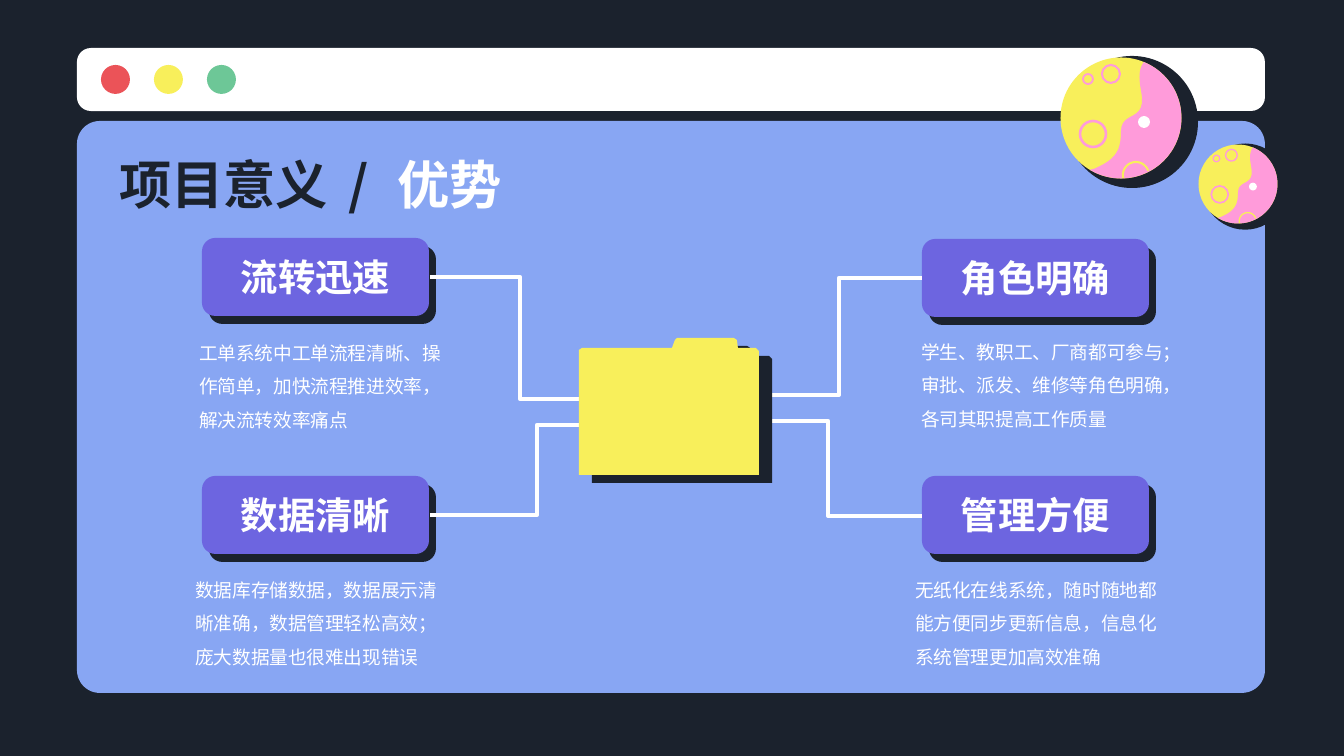
from math import cos, radians, sin

from pptx import Presentation
from pptx.dml.color import RGBColor
from pptx.enum.shapes import MSO_CONNECTOR, MSO_SHAPE
from pptx.enum.text import MSO_ANCHOR, MSO_AUTO_SIZE, PP_ALIGN
from pptx.oxml.ns import qn
from pptx.util import Emu, Pt
from lxml import etree

ELBOW = MSO_CONNECTOR.ELBOW
OVAL = MSO_SHAPE.OVAL
ROUNDED = MSO_SHAPE.ROUNDED_RECTANGLE
MIDDLE = MSO_ANCHOR.MIDDLE
TOP = MSO_ANCHOR.TOP
NO_AUTOFIT = MSO_AUTO_SIZE.NONE
CENTER = PP_ALIGN.CENTER
LEFT = PP_ALIGN.LEFT

NAVY = RGBColor(0x1B, 0x22, 0x2D)
BLUE = RGBColor(0x88, 0xA6, 0xF3)
PURPLE = RGBColor(0x6D, 0x65, 0xE0)
WHITE = RGBColor(0xFF, 0xFF, 0xFF)
RED = RGBColor(0xEB, 0x53, 0x58)
YELLOW = RGBColor(0xF8, 0xEF, 0x5B)
GREEN = RGBColor(0x6D, 0xC7, 0x97)
PINK = RGBColor(0xFF, 0x9B, 0xDA)

FONT = "Noto Sans CJK SC"
SCALE = 914400 / 134.4
CARD_WIDTH, CARD_HEIGHT = 227, 78
PLANET_SIZE = 121

CARDS = [
    ("管理方便", 922, 476, (922, 516), (734, 421)),
    ("数据清晰", 202, 476, (430, 515), (644, 425)),
    ("流转迅速", 202, 238, (430, 277), (610, 399)),
    ("角色明确", 922, 239, (922, 278), (756, 395)),
]
BODIES = [
    (["工单系统中工单流程清晰、操作简单，加快流程推进效率，解决流转效率痛点"], 186, 317, 274),
    (["学生、教职工、厂商都可参与；", "审批、派发、维修等角色明确，各司其职提高工作质量"], 908, 316, 272),
    (["数据库存储数据，数据展示清晰准确，数据管理轻松高效；庞大数据量也很难出现错误"], 182, 554, 272),
    (["无纸化在线系统，随时随地都能方便同步更新信息，信息化系统管理更加高效准确"], 902, 554, 272),
]
FOLDER = [
    (579, 350), (582, 348), (672, 348), (675, 340), (677, 338), (734, 338),
    (737, 340), (738, 348), (756, 348), (759, 351), (759, 475), (579, 475),
]
PLANET_EDGE = [
    [(-32, 53), (-7, 43), (0, 35), (0, 14)],
    [(0, 14), (0, -9), (27, 6), (20, -28)],
    [(20, -28), (17, -43), (19, -51), (23, -56)],
]


def px(value):
    return Emu(round(value * SCALE))


def curve_points(start, first, second, end, steps=12):
    for step in range(1, steps + 1):
        t = step / steps
        weights = ((1 - t) ** 3, 3 * t * (1 - t) ** 2, 3 * t * t * (1 - t), t ** 3)
        points = (start, first, second, end)
        yield tuple(sum(w * p[axis] for w, p in zip(weights, points)) for axis in (0, 1))


def arc_points(x, y, radius, start, end, steps=30):
    angles = [radians(start + (end - start) * step / steps) for step in range(steps + 1)]
    return [(x + radius * cos(angle), y + radius * sin(angle)) for angle in angles]


class Slide:
    def __init__(self, page):
        self.page = page

    def paint(self, shape, fill, line=None, width=1):
        shape.shadow.inherit = False
        if fill is None:
            shape.fill.background()
        else:
            shape.fill.solid()
            shape.fill.fore_color.rgb = fill
        if line is None:
            shape.line.fill.background()
        else:
            shape.line.color.rgb = line
            shape.line.width = Pt(width)
        return shape

    def shape(self, kind, left, top, width, height, fill, line=None, line_width=1):
        shape = self.page.shapes.add_shape(kind, px(left), px(top), px(width), px(height))
        return self.paint(shape, fill, line, line_width)

    def rounded(self, left, top, width, height, fill, corner):
        box = self.shape(ROUNDED, left, top, width, height, fill)
        box.adjustments[0] = corner
        return box

    def circle(self, x, y, radius, fill, line=None, width=1):
        return self.shape(OVAL, x - radius, y - radius, 2 * radius, 2 * radius, fill, line, width)

    def outline(self, points, fill, line=None, width=1, close=True):
        start, *rest = [(px(x), px(y)) for x, y in points]
        builder = self.page.shapes.build_freeform(*start, scale=1.0)
        builder.add_line_segments(rest, close=close)
        return self.paint(builder.convert_to_shape(), fill, line, width)

    def format_frame(self, frame, size, anchor, align, bold=False, spacing=1.0):
        frame.word_wrap = True
        frame.auto_size = NO_AUTOFIT
        frame.vertical_anchor = anchor
        frame.margin_left = frame.margin_right = frame.margin_top = frame.margin_bottom = Pt(7.2)
        for para in frame.paragraphs:
            para.alignment = align
            para.line_spacing = spacing
            para.space_before = para.space_after = Pt(0)
            for span in para.runs:
                self.format_span(span, size, WHITE, bold)

    def format_span(self, span, size, color, bold):
        span.font.size = Pt(size)
        span.font.bold = bold
        span.font.color.rgb = color
        span.font.name = FONT
        properties = span.font._element
        etree.SubElement(properties, qn("a:ea")).set("typeface", FONT)

    def title(self, parts):
        title = self.page.shapes.title
        title.left, title.top, title.width, title.height = px(106), px(142), px(1133), px(83)
        title.element.getparent().append(title.element)
        para = title.text_frame.paragraphs[0]
        for text, _, _ in parts:
            para.add_run().text = text
        self.format_frame(title.text_frame, 28, MIDDLE, LEFT, bold=True)
        for span, (_, color, tracking) in zip(para.runs, parts):
            span.font.color.rgb = color
            span.font._element.set("spc", str(tracking))

    def card(self, heading, left, top):
        self.rounded(left + 7, top + 8, CARD_WIDTH, CARD_HEIGHT, NAVY, 0.17)
        box = self.rounded(left, top, CARD_WIDTH, CARD_HEIGHT, PURPLE, 0.17)
        box.text_frame.text = heading
        self.format_frame(box.text_frame, 20, MIDDLE, CENTER, bold=True)

    def body(self, lines, left, top, width):
        box = self.page.shapes.add_textbox(px(left), px(top), px(width), px(112))
        box.text_frame.text = "\n".join(lines)
        self.format_frame(box.text_frame, 10, TOP, LEFT, spacing=1.5)

    def connector(self, start, end):
        points = [px(value) for value in start + end]
        line = self.page.shapes.add_connector(ELBOW, *points)
        line.line.color.rgb = WHITE
        line.line.width = Pt(2.25)
        etree.SubElement(line._element.spPr, qn("a:effectLst"))

    def folder(self):
        folder = self.outline(FOLDER, YELLOW)
        effects = folder._element.spPr.find(qn("a:effectLst"))
        shadow = etree.SubElement(effects, qn("a:outerShdw"))
        for name, value in (("blurRad", 0), ("dist", Pt(8.2)), ("dir", 31 * 60000)):
            shadow.set(name, str(int(value)))
        shadow.set("algn", "bl")
        shadow.set("rotWithShape", "0")
        etree.SubElement(shadow, qn("a:srgbClr")).set("val", str(NAVY))

    def planet(self, x, y, size):
        ratio = size / PLANET_SIZE

        def place(points):
            return [(x + dx * ratio, y + dy * ratio) for dx, dy in points]

        def disc(dx, dy, radius, fill, line=None, width=1):
            self.circle(x + dx * ratio, y + dy * ratio, radius * ratio, fill, line, width * ratio)

        disc(11, 4, 66, NAVY)
        disc(0, 0, PLANET_SIZE / 2, YELLOW)
        for dx, dy, radius, width in ((-28, 16, 13, 1.4), (-10, -44, 9, 1.1), (-33, -39, 5, 1)):
            disc(dx, dy, radius, None, PINK, width)
        half = arc_points(0, 0, PLANET_SIZE / 2, -68, 121)
        for edge in PLANET_EDGE:
            half.extend(curve_points(*edge))
        self.outline(place(half), PINK)
        crater = arc_points(15, 57, 13, 167, 341)
        self.outline(place(crater), None, YELLOW, 1.1 * ratio, close=False)
        disc(23, 4, 6, WHITE)


def main():
    deck = Presentation()
    deck.slide_width, deck.slide_height = px(1344), px(756)
    page = deck.slides.add_slide(deck.slide_layouts[5])
    page.background.fill.solid()
    page.background.fill.fore_color.rgb = NAVY
    slide = Slide(page)
    slide.rounded(77, 121, 1188, 572, BLUE, 0.04)
    slide.rounded(77, 48, 1188, 63, WHITE, 0.22)
    for index, color in enumerate((RED, YELLOW, GREEN)):
        slide.shape(OVAL, 101 + 53 * index, 65, 29, 29, color)
    slide.planet(1121, 118, PLANET_SIZE)
    slide.planet(1238, 184, 79)
    slide.title([("项目意义", NAVY, 0), (" / ", NAVY, 450), ("优势", WHITE, 0)])
    for heading, left, top, _, _ in CARDS:
        slide.card(heading, left, top)
    for _, _, _, start, end in CARDS:
        slide.connector(start, end)
    slide.folder()
    for body in BODIES:
        slide.body(*body)
    deck.save("out.pptx")


if __name__ == "__main__":
    main()
